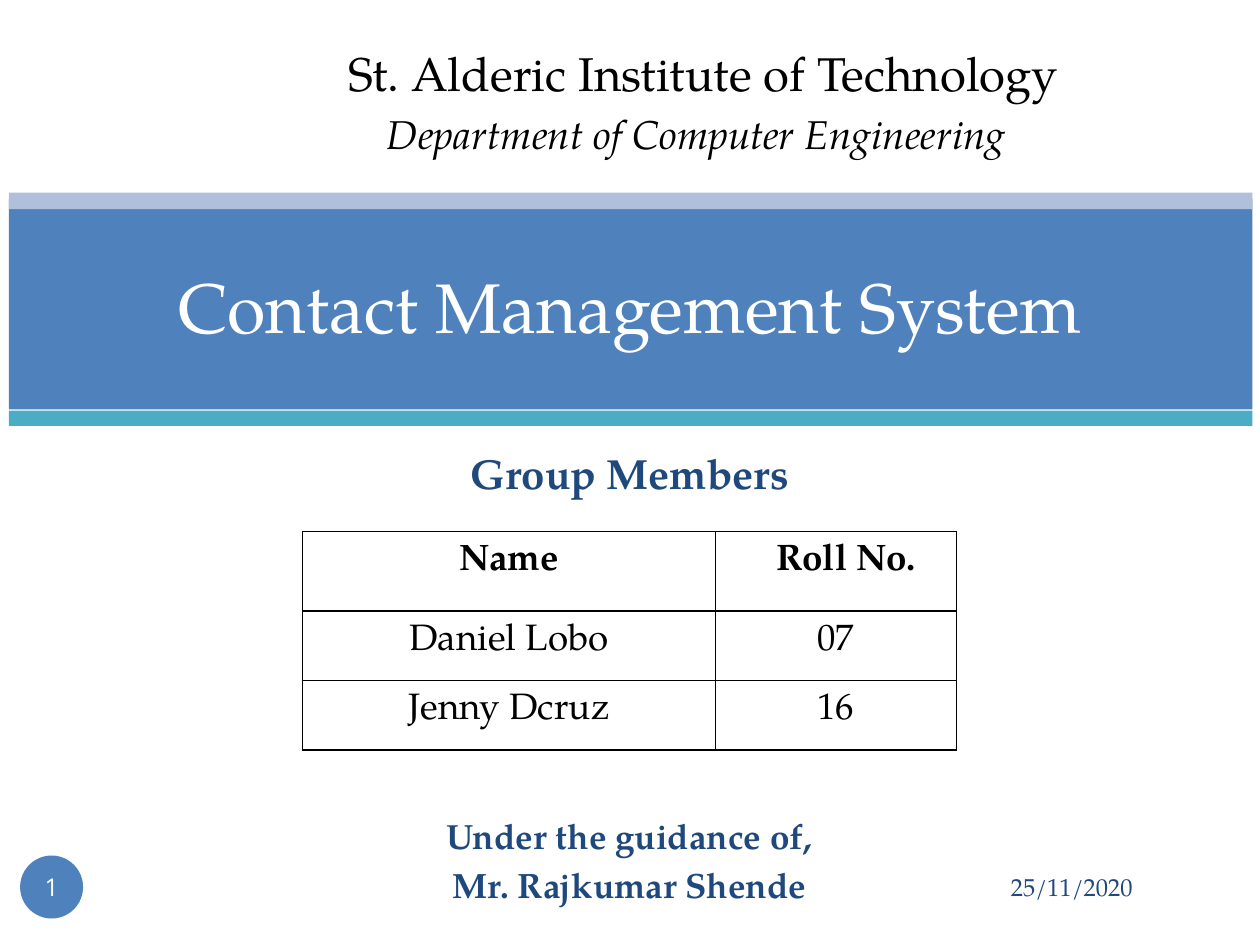
from lxml.etree import SubElement
from pptx import Presentation
from pptx.dml.color import RGBColor
from pptx.enum.shapes import MSO_SHAPE
from pptx.enum.text import MSO_ANCHOR, PP_ALIGN
from pptx.oxml.ns import qn
from pptx.util import Inches, Pt

BLUE = RGBColor(0x4F, 0x81, 0xBD)
PALE_BLUE = RGBColor(0xB1, 0xC0, 0xDA)
TEAL = RGBColor(0x4B, 0xAC, 0xC6)
NAVY = RGBColor(0x1F, 0x49, 0x7D)
BLACK = RGBColor(0, 0, 0)
WHITE = RGBColor(0xFF, 0xFF, 0xFF)
SERIF = "TeX Gyre Pagella"
SANS = "Open Sans"


def write_text(text_frame, text, size, color, bold=False, font=SERIF,
               align=PP_ALIGN.CENTER, anchor=MSO_ANCHOR.MIDDLE):
    """Fill a text frame, one paragraph per line, in a single style."""
    text_frame.text = text
    text_frame.word_wrap = True
    text_frame.vertical_anchor = anchor
    for paragraph in text_frame.paragraphs:
        paragraph.alignment = align
        for run in paragraph.runs:
            run.font.name = font
            run.font.size = Pt(size)
            run.font.bold = bold
            run.font.color.rgb = color


def add_filled_shape(slide, kind, left, top, width, height, color):
    """Add a flat preset shape without outline or shadow."""
    shape = slide.shapes.add_shape(
        kind, Inches(left), Inches(top), Inches(width), Inches(height))
    shape.shadow.inherit = False
    shape.fill.solid()
    shape.fill.fore_color.rgb = color
    shape.line.fill.background()
    return shape


presentation = Presentation()
presentation.slide_width = Inches(10)
presentation.slide_height = Inches(7.5)
slide = presentation.slides.add_slide(presentation.slide_layouts[5])

# Title on its banner
title = slide.shapes.title
title.left, title.top = Inches(0.58), Inches(1.92)
title.width, title.height = Inches(8.84), Inches(1.06)
write_text(title.text_frame, "Contact Management System", 40, WHITE)
title.text_frame.margin_bottom = Inches(0.1)

for top, height, color in [(1.58, 1.67, BLUE), (1.53, 0.13, PALE_BLUE), (3.26, 0.12, TEAL)]:
    band = add_filled_shape(slide, MSO_SHAPE.RECTANGLE, 0.07, top, 9.87, height, color)
    title.element.addprevious(band.element)

# Text boxes
text_boxes = [
    (2.08, 0.3, 7, 1.13, "St. Alderic Institute of Technology\nDepartment of Computer Engineering",
     27, BLACK, False, PP_ALIGN.CENTER, MSO_ANCHOR.TOP),
    (1.5, 3.5, 7, 0.5, "Group Members", 24, NAVY, True, PP_ALIGN.CENTER, MSO_ANCHOR.TOP),
    (2.58, 6.55, 4.83, 0.5, "Under the guidance of,\nMr. Rajkumar Shende",
     20, NAVY, True, PP_ALIGN.CENTER, MSO_ANCHOR.MIDDLE),
    (6.38, 6.78, 2.71, 0.52, "25/11/2020", 14, NAVY, False, PP_ALIGN.RIGHT, MSO_ANCHOR.MIDDLE),
]
frames = []
for left, top, width, height, text, size, color, bold, align, anchor in text_boxes:
    box = slide.shapes.add_textbox(Inches(left), Inches(top), Inches(width), Inches(height))
    write_text(box.text_frame, text, size, color, bold, align=align, anchor=anchor)
    frames.append(box.text_frame)
institute, _, guidance, _ = frames

department = institute.paragraphs[1]
department.runs[0].font.size = Pt(23)
department.runs[0].font.italic = True
trailing_space = department.add_run()
trailing_space.text = " "
trailing_space.font.name = SERIF
trailing_space.font.size = Pt(28)
for paragraph in guidance.paragraphs:
    paragraph.line_spacing = 1.15

# Group members
members = [("Name", "Roll No."), ("Daniel Lobo", "07"), ("Jenny Dcruz", "16")]
column_widths = [3.28, 1.91]
row_heights = [0.63, 0.49, 0.49]
table = slide.shapes.add_table(
    len(members), len(column_widths), Inches(2.4), Inches(4.22),
    Inches(sum(column_widths)), Inches(sum(row_heights))).table
for column, width in zip(table.columns, column_widths):
    column.width = Inches(width)
for row, height, values in zip(table.rows, row_heights, members):
    row.height = Inches(height)
    for cell, value in zip(row.cells, values):
        write_text(cell.text_frame, value, 21, BLACK, bold=values == members[0])
        cell.vertical_anchor = MSO_ANCHOR.TOP
        cell.margin_left = cell.margin_right = Inches(0.1)
        cell.margin_top = cell.margin_bottom = Inches(0.1)
        properties = cell._tc.get_or_add_tcPr()
        for side in ("lnL", "lnR", "lnT", "lnB"):
            border = SubElement(properties, qn(f"a:{side}"), w=str(Pt(1)))
            SubElement(SubElement(border, qn("a:solidFill")), qn("a:srgbClr"), val=str(BLACK))
        cell.fill.background()
table.cell(0, 1).margin_left = Inches(0.26)

# Slide number
number = add_filled_shape(slide, MSO_SHAPE.OVAL, 0.16, 6.79, 0.5, 0.5, BLUE)
write_text(number.text_frame, "1", 14, WHITE, font=SANS)
number.text_frame.margin_left = number.text_frame.margin_right = 0
number.text_frame.margin_top = number.text_frame.margin_bottom = 0

presentation.save("out.pptx")
